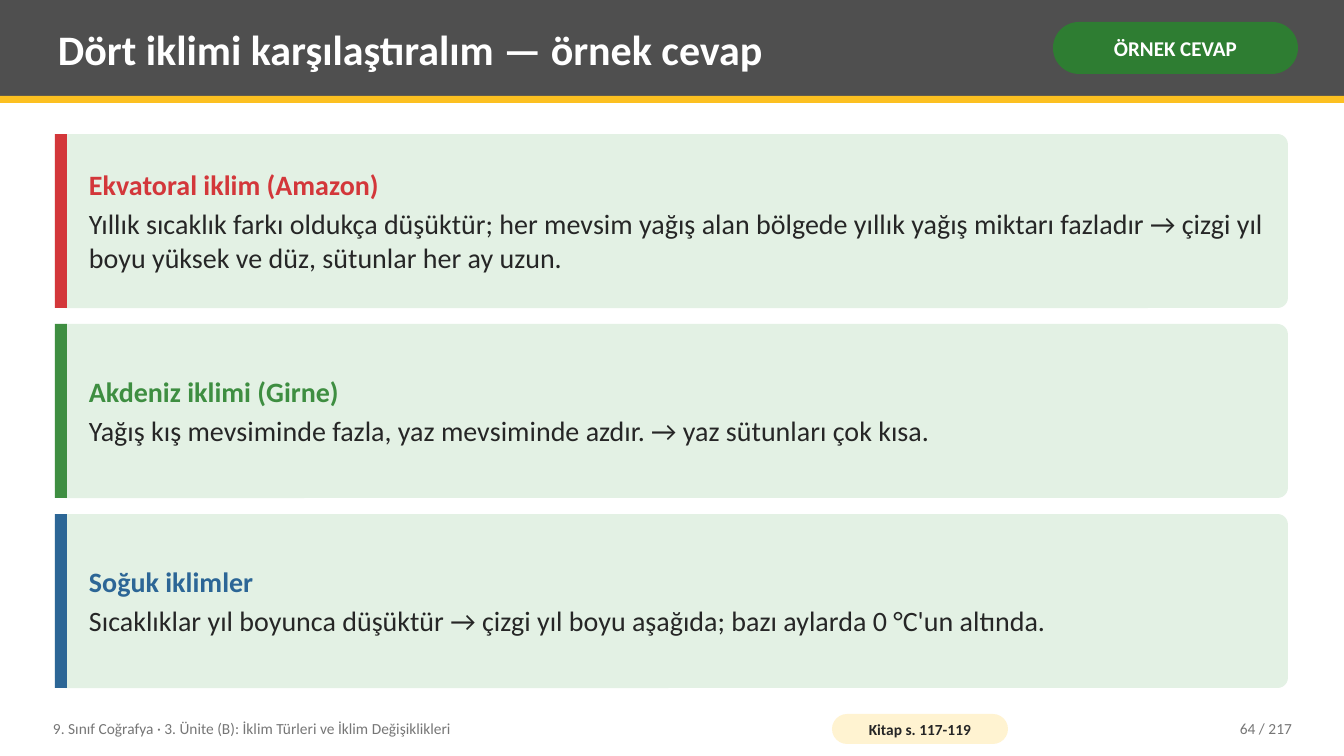
from pptx import Presentation
from pptx.dml.color import RGBColor
from pptx.enum.shapes import MSO_SHAPE as Shape
from pptx.enum.text import MSO_ANCHOR as Anchor, PP_ALIGN as Align
from pptx.util import Emu, Pt

EMU_PER_PX = 914400 / 100.8

WHITE = RGBColor(0xFF, 0xFF, 0xFF)
CHARCOAL = RGBColor(0x4F, 0x4F, 0x4F)
AMBER = RGBColor(0xFC, 0xC0, 0x21)
BADGE_GREEN = RGBColor(0x2E, 0x7D, 0x32)
CARD_GREEN = RGBColor(0xE3, 0xF1, 0xE4)
CREAM = RGBColor(0xFF, 0xF3, 0xD1)
INK = RGBColor(0x26, 0x26, 0x26)
GREY = RGBColor(0x76, 0x76, 0x76)
RED = RGBColor(0xD3, 0x37, 0x3A)
GREEN = RGBColor(0x3E, 0x8E, 0x41)
BLUE = RGBColor(0x2C, 0x66, 0x96)

CLIMATES = [
    (RED, "Ekvatoral iklim (Amazon)",
     "Yıllık sıcaklık farkı oldukça düşüktür; her mevsim yağış alan bölgede "
     "yıllık yağış miktarı fazladır → çizgi yıl boyu yüksek ve düz, "
     "sütunlar her ay uzun."),
    (GREEN, "Akdeniz iklimi (Girne)",
     "Yağış kış mevsiminde fazla, yaz mevsiminde azdır. → yaz sütunları çok kısa."),
    (BLUE, "Soğuk iklimler",
     "Sıcaklıklar yıl boyunca düşüktür → çizgi yıl boyu aşağıda; "
     "bazı aylarda 0 °C'un altında."),
]
CARD_LEFT, CARD_TOP, CARD_WIDTH, CARD_HEIGHT, CARD_PITCH = 55, 134, 1233, 174, 190


def px(length):
    return Emu(round(length * EMU_PER_PX))


class SlideBuilder:
    font_name = "Calibri"

    def __init__(self, page):
        self.page = page

    def shape(self, left, top, width, height, fill, radius=None):
        kind = Shape.RECTANGLE if radius is None else Shape.ROUNDED_RECTANGLE
        box = self.page.shapes.add_shape(kind, *map(px, (left, top, width, height)))
        if radius is not None:
            box.adjustments[0] = radius
        box.fill.solid()
        box.fill.fore_color.rgb = fill
        box.line.fill.background()
        box.shadow.inherit = False
        return box

    def fill_text(self, box, lines, align=Align.LEFT, inset=(8, 4), gap=0):
        """Fill a box with (text, size, color, bold) lines."""
        frame = box.text_frame
        side, edge = map(px, inset)
        frame_format = {
            "word_wrap": True, "vertical_anchor": Anchor.MIDDLE,
            "margin_left": side, "margin_right": side,
            "margin_top": edge, "margin_bottom": edge,
        }
        for name, value in frame_format.items():
            setattr(frame, name, value)
        for index, (text, size, color, bold) in enumerate(lines):
            para = frame.add_paragraph() if index else frame.paragraphs[0]
            para.alignment = align
            if index < len(lines) - 1:
                para.space_after = Pt(gap)
            span = para.add_run()
            span.text = text
            font_format = {"name": self.font_name, "size": Pt(size), "bold": bold}
            for name, value in font_format.items():
                setattr(span.font, name, value)
            span.font.color.rgb = color

    def text(self, left, top, width, height, lines, **options):
        box = self.page.shapes.add_textbox(*map(px, (left, top, width, height)))
        self.fill_text(box, lines, **options)

    def pill(self, left, top, width, height, fill, line, inset):
        box = self.shape(left, top, width, height, fill, radius=0.5)
        self.fill_text(box, [line], align=Align.CENTER, inset=inset)

    def card(self, top, accent, heading, body):
        self.shape(CARD_LEFT, top, CARD_WIDTH, CARD_HEIGHT, CARD_GREEN, radius=0.06)
        self.shape(CARD_LEFT, top, 12, CARD_HEIGHT, accent)
        lines = [(heading, 20, accent, True), (body, 20, INK, False)]
        self.text(CARD_LEFT + 26, top + 6, CARD_WIDTH - 35, CARD_HEIGHT - 12,
                  lines, gap=4)


def main():
    deck = Presentation()
    deck.slide_width, deck.slide_height = px(1344), px(756)
    builder = SlideBuilder(deck.slides.add_slide(deck.slide_layouts[6]))

    # Header
    builder.shape(0, 0, 1344, 96, CHARCOAL)
    builder.shape(0, 96, 1344, 7, AMBER)
    builder.text(50, 7, 983, 83,
                 [("Dört iklimi karşılaştıralım — örnek cevap", 30, WHITE, True)])
    builder.pill(1053, 22, 245, 52, BADGE_GREEN,
                 ("ÖRNEK CEVAP", 15, WHITE, True), inset=(5, 2))

    # Climate cards
    for row, climate in enumerate(CLIMATES):
        builder.card(CARD_TOP + row * CARD_PITCH, *climate)

    # Footer
    builder.text(45, 710, 766, 36, [(
        "9. Sınıf Coğrafya · 3. Ünite (B): İklim Türleri ve İklim Değişiklikleri",
        11, GREY, False)])
    builder.pill(832, 714, 176, 30, CREAM,
                 ("Kitap s. 117-119", 11, INK, True), inset=(4, 0))
    builder.text(1139, 710, 161, 36, [("64 / 217", 11, GREY, False)],
                 align=Align.RIGHT)

    deck.save("out.pptx")


if __name__ == "__main__":
    main()
